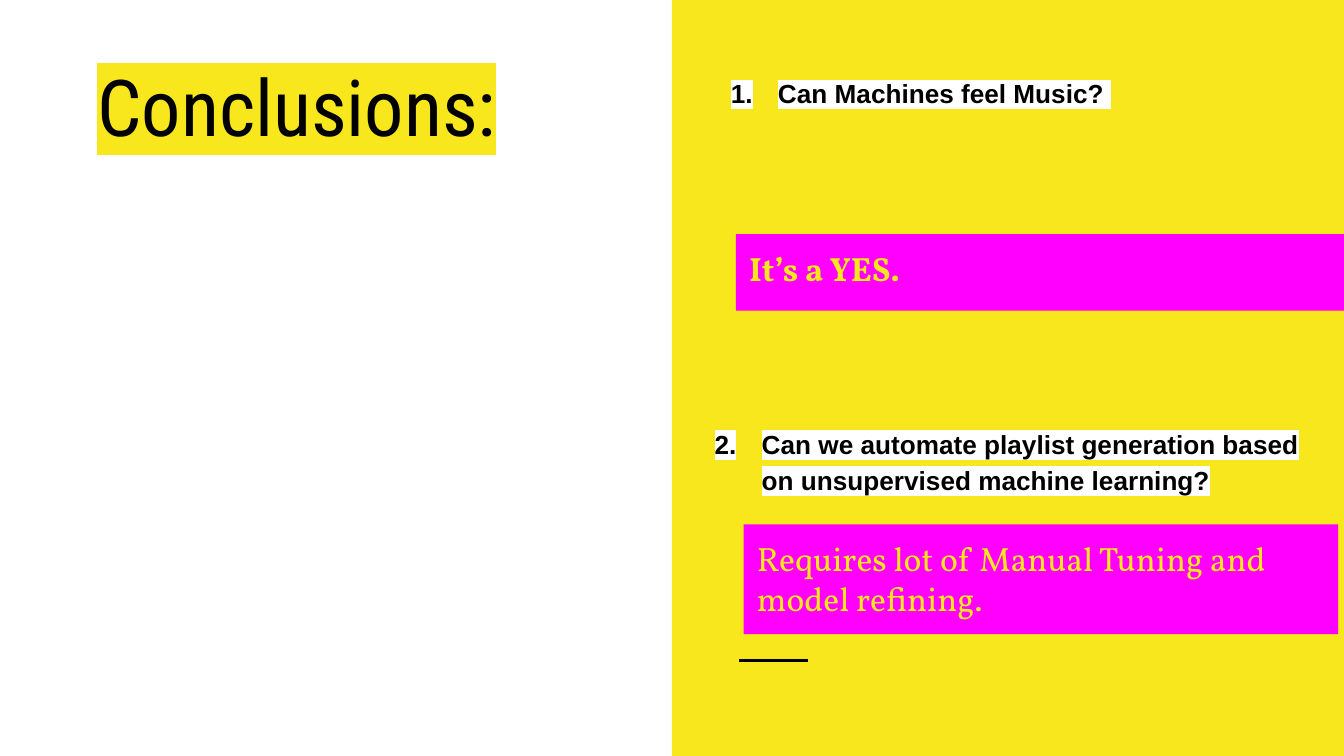
import pptx
import pptx.dml.color
import pptx.enum.shapes
import pptx.enum.text
import pptx.oxml
import pptx.oxml.ns
import pptx.util

Pt = pptx.util.Pt
RGBColor = pptx.dml.color.RGBColor
Shapes = pptx.enum.shapes.MSO_SHAPE
Anchor = pptx.enum.text.MSO_ANCHOR
Align = pptx.enum.text.PP_ALIGN
AutoSize = pptx.enum.text.MSO_AUTO_SIZE

YELLOW = RGBColor(0xF8, 0xE7, 0x1C)
MAGENTA = RGBColor(0xFF, 0x00, 0xFF)
BLACK = RGBColor(0, 0, 0)
WHITE = RGBColor(0xFF, 0xFF, 0xFF)

WIDTH, HEIGHT = 720, 405
INSET = 7.2

TITLE = "Conclusions:"
TITLE_PLACE = (0, 20.9, 318.2, 67.7)

# text, (left, top, width, height)
QUESTIONS = [
    ("Can Machines feel Music? ", (373.7, 31.7, 318.2, 72.7)),
    ("Can we automate playlist generation based on unsupervised machine learning?",
     (365, 219.6, 352.1, 51.1)),
]
# text, (left, top, width, height), bold
ANSWERS = [
    ("It’s a YES.", (394.2, 125.5, 325.8, 41), True),
    ("Requires lot of Manual Tuning and model refining.",
     (398.4, 281, 318.5, 58.8), False),
]


def element(tag, **attributes):
    node = pptx.oxml.parse_xml(f"<a:{tag} {pptx.oxml.ns.nsdecls('a')}/>")
    for name, value in attributes.items():
        node.set(name, str(value))
    return node


def color_element(tag, color):
    node = element(tag)
    node.append(element("srgbClr", val=color))
    return node


def add_rectangle(slide, place, color):
    box = slide.shapes.add_shape(Shapes.RECTANGLE, *map(Pt, place))
    box.shadow.inherit = False
    box.fill.solid()
    box.fill.fore_color.rgb = color
    box.line.fill.background()
    return box


def write(box, text, font, size, color, bold=False, highlight=None,
          align=Align.LEFT, anchor=Anchor.TOP, number=None):
    """Fill a box with one paragraph; number makes it a numbered item."""
    frame = box.text_frame
    frame.word_wrap = True
    frame.auto_size = AutoSize.NONE
    frame.vertical_anchor = anchor
    frame.margin_left = frame.margin_right = Pt(INSET)
    frame.margin_top = frame.margin_bottom = Pt(INSET)
    frame.text = text
    para = frame.paragraphs[0]
    if number:
        properties = para._p.get_or_add_pPr()
        properties.set("marL", str(Pt(36)))
        properties.set("indent", str(Pt(-25.2)))
        properties.append(color_element("buClr", BLACK))
        properties.append(element("buFont", typeface=font))
        properties.append(element("buAutoNum", type="arabicPeriod", startAt=number))
        para.line_spacing = 1.15
    para.alignment = align
    span = para.runs[0]
    span.font.name = font
    span.font.size = Pt(size)
    span.font.bold = bold
    span.font.color.rgb = color
    if highlight is not None:
        fill = span._r.rPr.find(pptx.oxml.ns.qn("a:solidFill"))
        fill.addnext(color_element("highlight", highlight))


deck = pptx.Presentation()
deck.slide_width, deck.slide_height = Pt(WIDTH), Pt(HEIGHT)
page = deck.slides.add_slide(deck.slide_layouts[5])

add_rectangle(page, (WIDTH / 2, 0, WIDTH / 2, HEIGHT), YELLOW)

rule = page.shapes.add_connector(
    pptx.enum.shapes.MSO_CONNECTOR.STRAIGHT, Pt(396), Pt(354), Pt(432.8), Pt(354))
rule.line.color.rgb = BLACK
rule.line.width = Pt(1.5)
rule._element.spPr.append(element("effectLst"))

title = page.shapes.title
title.left, title.top, title.width, title.height = map(Pt, TITLE_PLACE)
write(title, TITLE, "Roboto Condensed", 42, BLACK, highlight=YELLOW,
      align=Align.CENTER, anchor=Anchor.BOTTOM)

for number, (text, place) in enumerate(QUESTIONS, start=1):
    question = page.shapes.add_textbox(*map(Pt, place))
    write(question, text, "Arial", 14, BLACK, bold=True, highlight=WHITE, number=number)

for text, place, bold in ANSWERS:
    answer = add_rectangle(page, place, MAGENTA)
    write(answer, text, "Vollkorn", 18, YELLOW, bold=bold)

deck.save("out.pptx")
